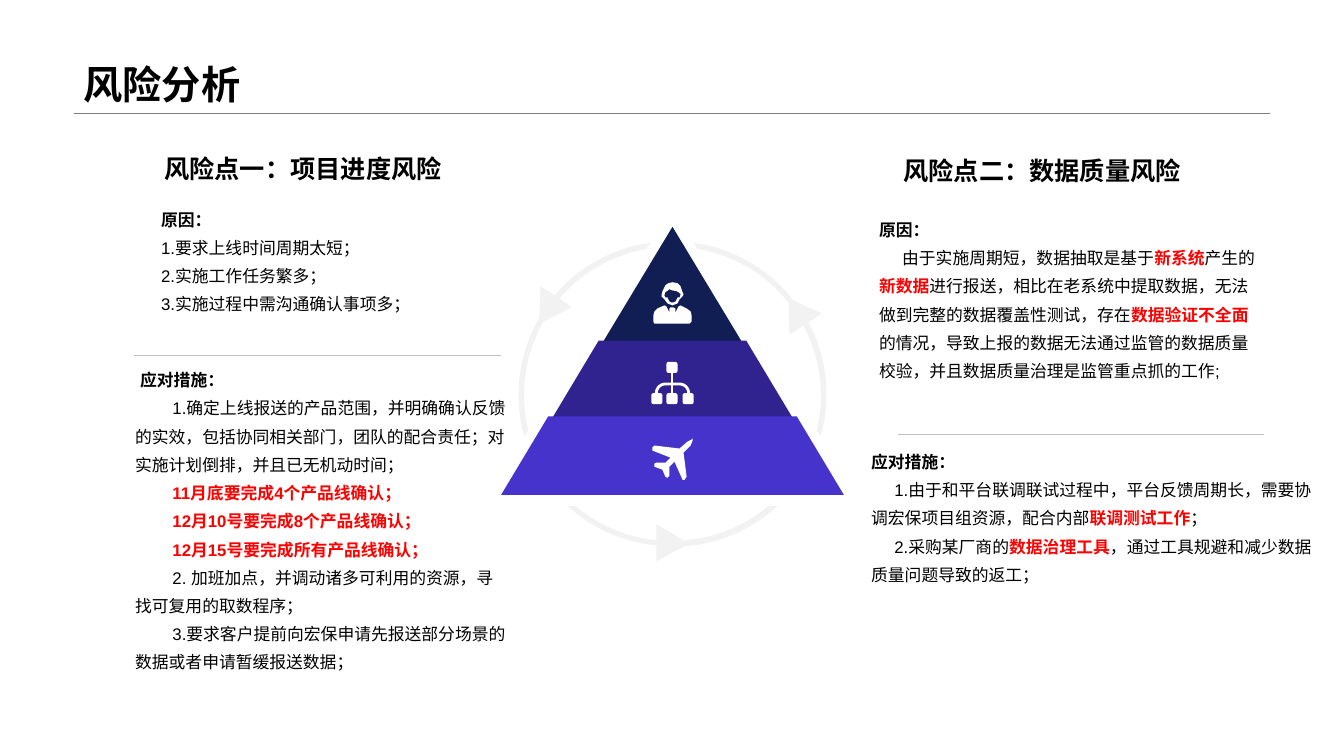
from dataclasses import dataclass
from enum import Enum
from math import atan2, cos, hypot, pi, sin
from typing import NamedTuple, Optional, Union

from lxml.etree import SubElement
from pptx import Presentation
from pptx.dml.color import RGBColor
from pptx.enum.shapes import MSO_CONNECTOR, MSO_SHAPE as SHAPE
from pptx.enum.text import MSO_ANCHOR as ANCHOR, MSO_AUTO_SIZE, PP_ALIGN as ALIGN
from pptx.oxml.ns import qn
from pptx.util import Pt

PX = 9144  # EMU per px, 100 px to the inch


@dataclass(frozen=True)
class Theme:
    font: str = "Arial"
    text: str = "000000"
    alert: str = "FF0000"
    rule: str = "808080"
    divider: str = "BFBFBF"
    ring: str = "F2F2F2"
    icon: str = "FFFFFF"
    top: str = "111E54"
    middle: str = "30238F"
    base: str = "4533CC"
    title_size: int = 28
    heading_size: int = 18
    body_size: int = 12
    hairline: float = 0.25
    icon_line: float = 2


THEME = Theme()


class Look(Enum):
    PLAIN = 0
    BOLD = 1
    ALERT = 2


class Run(NamedTuple):
    text: str
    look: Look = Look.PLAIN


class Para(NamedTuple):
    runs: tuple[Run, ...]
    indent: int = 0


class Box(NamedTuple):
    x: int
    y: int
    w: int
    h: int


class Block(NamedTuple):
    box: Box
    paras: tuple[Para, ...]
    holder: Optional[int] = None
    size: int = THEME.body_size
    spacing: float = 1.4
    align: ALIGN = ALIGN.LEFT
    anchor: ANCHOR = ANCHOR.TOP


class Point(NamedTuple):
    x: float
    y: float


class Arc(NamedTuple):
    start: tuple[int, int]
    end: tuple[int, int]
    center: tuple[int, int] = (667, 391)


class Layer(NamedTuple):
    kind: SHAPE
    box: Box
    color: str
    slant: Optional[float] = None


class Rule(NamedTuple):
    x1: int
    x2: int
    y: int
    color: str


Outline = list[Union[Arc, tuple[int, int]]]


def line(text: str, indent: int = 0, look: Look = Look.PLAIN) -> Para:
    return Para((Run(text, look),), indent)


def heading(box: Box, text: str, holder: int, align: ALIGN) -> Block:
    return Block(box, (line(text, 0, Look.BOLD),), holder, THEME.heading_size, 1, align, ANCHOR.BOTTOM)


BLOCKS = [
    Block(Box(73, 0, 1187, 112), (line("风险分析", 0, Look.BOLD),), 0, THEME.title_size, 0.9,
          anchor=ANCHOR.BOTTOM),
    heading(Box(74, 147, 374, 40), "风险点一：项目进度风险", 1, ALIGN.RIGHT),
    Block(Box(145, 195, 374, 154), (
        line("原因：", 5, Look.BOLD),
        line("1.要求上线时间周期太短；", 5),
        line("2.实施工作任务繁多；", 5),
        line("3.实施过程中需沟通确认事项多；", 5))),
    Block(Box(124, 354, 388, 334), (
        line("应对措施：", 5, Look.BOLD),
        line("1.确定上线报送的产品范围，并明确确认反馈的实效，包括协同相关部门，团队的配合责任；"
             "对实施计划倒排，并且已无机动时间；", 37),
        line("11月底要完成4个产品线确认；", 37, Look.ALERT),
        line("12月10号要完成8个产品线确认；", 37, Look.ALERT),
        line("12月15号要完成所有产品线确认；", 37, Look.ALERT),
        line("2. 加班加点，并调动诸多可利用的资源，寻找可复用的取数程序；", 37),
        line("3.要求客户提前向宏保申请先报送部分场景的数据或者申请暂缓报送数据；", 37)), 2),
    heading(Box(886, 149, 374, 40), "风险点二：数据质量风险", 3, ALIGN.LEFT),
    Block(Box(862, 205, 397, 249), (
        line("原因：", 0, Look.BOLD),
        Para((Run("由于实施周期短，数据抽取是基于"), Run("新系统", Look.ALERT), Run("产生的"),
              Run("新数据", Look.ALERT),
              Run("进行报送，相比在老系统中提取数据，无法做到完整的数据覆盖性测试，存在"),
              Run("数据验证不全面", Look.ALERT),
              Run("的情况，导致上报的数据无法通过监管的数据质量校验，并且数据质量治理是监管重点抓的工作;")),
             23))),
    Block(Box(854, 435, 457, 315), (
        line("应对措施：", 0, Look.BOLD),
        Para((Run("1.由于和平台联调联试过程中，平台反馈周期长，需要协调宏保项目组资源，配合内部"),
              Run("联调测试工作", Look.ALERT), Run("；")), 23),
        Para((Run("2.采购某厂商的"), Run("数据治理工具", Look.ALERT),
              Run("，通过工具规避和减少数据质量问题导致的返工；")), 23)), 4),
]
RULES = [Rule(73, 1260, 112, THEME.rule), Rule(133, 497, 352, THEME.divider),
         Rule(891, 1254, 431, THEME.divider)]
PYRAMID = [
    Layer(SHAPE.ISOSCELES_TRIANGLE, Box(594, 225, 146, 121), THEME.top),
    Layer(SHAPE.TRAPEZOID, Box(544, 338, 246, 83), THEME.middle, 0.6),
    Layer(SHAPE.TRAPEZOID, Box(497, 413, 340, 78), THEME.base, 0.6),
]
RING_ARROWS: list[Outline] = [
    [Arc((678, 542), (771, 502)), Arc((762, 502), (678, 536)), (651, 520),
     Arc((651, 536), (571, 502)), Arc((563, 502), (651, 541)), (651, 557)],
    [Arc((645, 241), (550, 293)), (536, 284), Arc((535, 315), (520, 433)),
     Arc((524, 427), (539, 319)), (567, 305), Arc((555, 296), (641, 247))],
    [Arc((814, 433), (802, 320)), (815, 311), Arc((787, 298), (688, 241)),
     Arc((692, 247), (782, 300)), (783, 332), Arc((797, 323), (810, 427))],
]
PLANE: Outline = [
    (686, 436), (682, 438), (674, 445), (649, 442), (647, 444), (647, 447), (665, 454), (660, 459),
    (651, 459), (649, 460), (649, 463), (657, 466), (660, 473), (662, 474), (664, 472), (664, 463),
    (669, 458), (677, 476), (679, 476), (681, 473), (678, 449), (685, 442), (687, 437), (687, 435)]
PERSON_BODY: Outline = [
    (686, 313), (686, 319), (684, 321), (649, 321), (648, 319), (648, 313), (649, 309), (652, 306),
    (659, 303), (661, 304), (664, 310), (664, 306), (665, 305), (668, 305), (670, 306), (670, 310),
    (673, 304), (675, 303), (681, 306), (685, 309)]
PERSON_HEAD: Outline = [
    (677, 294), (674, 297), (672, 301), (667, 303), (662, 301), (659, 297), (656, 294), (657, 289),
    (660, 283), (663, 281), (667, 280), (672, 281), (675, 284), (676, 287), (677, 290), (678, 292)]
PERSON_FACE: Outline = [
    (673, 290), (671, 289), (666, 288), (664, 287), (663, 288), (660, 290), (659, 293), (660, 295),
    (662, 295), (664, 299), (666, 300), (668, 300), (670, 299), (672, 295), (674, 295), (675, 292)]
ORG_BRACKET: Outline = [Arc((651, 390), (660, 381), (660, 390)), Arc((674, 381), (683, 390), (674, 390))]
ORG_BOXES = [Box(x, y, 11, 11) for x, y in ((661, 359), (646, 390), (661, 390), (677, 390))]


def color(value: str) -> RGBColor:
    return RGBColor.from_string(value)


def emu(box: Box) -> list[int]:
    return [v * PX for v in box]


def flatten(arc: Arc, steps: int = 24) -> list[Point]:
    """Points along the shorter way round the arc's centre."""
    cx, cy = arc.center
    (a, ra), (b, rb) = ((atan2(y - cy, x - cx), hypot(x - cx, y - cy)) for x, y in (arc.start, arc.end))
    sweep = (b - a + pi) % (2 * pi) - pi
    turns = [(a + sweep * i / steps, ra + (rb - ra) * i / steps) for i in range(steps + 1)]
    return [Point(cx + r * cos(t), cy + r * sin(t)) for t, r in turns]


def paint(sp, fill: str) -> None:
    sp.shadow.inherit = False
    sp.fill.solid()
    sp.fill.fore_color.rgb = color(fill)
    sp.line.fill.background()


def draw_outline(slide, outline: Outline, fill: Optional[str]) -> None:
    """A filled outline, or an open icon stroke when there is no fill."""
    points = [p for part in outline for p in (flatten(part) if isinstance(part, Arc) else [Point(*part)])]
    points = [(p.x * PX, p.y * PX) for p in points]
    builder = slide.shapes.build_freeform(*points[0], scale=1.0)
    builder.add_line_segments(points[1:], close=fill is not None)
    sp = builder.convert_to_shape()
    paint(sp, fill or THEME.icon)
    if fill is None:
        sp.fill.background()
        sp.line.color.rgb = color(THEME.icon)
        sp.line.width = Pt(THEME.icon_line)


def draw_line(slide, start: Point, end: Point, stroke: str, width: float):
    cxn = slide.shapes.add_connector(MSO_CONNECTOR.STRAIGHT, *(int(v * PX) for v in (*start, *end)))
    cxn.line.color.rgb = color(stroke)
    cxn.line.width = Pt(width)
    SubElement(cxn._element.spPr, qn("a:effectLst"))
    return cxn


def draw_layer(slide, layer: Layer):
    sp = slide.shapes.add_shape(layer.kind, *emu(layer.box))
    paint(sp, layer.color)
    if layer.slant is not None:
        sp.adjustments[0] = layer.slant
    return sp


def draw_org_chart(slide) -> None:
    nodes = [draw_layer(slide, Layer(SHAPE.ROUNDED_RECTANGLE, b, THEME.icon, 0.2)) for b in ORG_BOXES]
    stem = draw_line(slide, Point(666.5, 370), Point(666.5, 390), THEME.icon, THEME.icon_line)
    stem.begin_connect(nodes[0], 2)
    stem.end_connect(nodes[2], 0)
    draw_outline(slide, ORG_BRACKET, None)


def draw_block(slide, block: Block) -> None:
    if block.holder is None:
        sp = slide.shapes.add_textbox(*emu(block.box))
    else:
        sp = slide.placeholders[block.holder]
        sp.left, sp.top, sp.width, sp.height = emu(block.box)
    tf = sp.text_frame
    tf.word_wrap, tf.auto_size, tf.vertical_anchor = True, MSO_AUTO_SIZE.NONE, block.anchor
    for i, para in enumerate(block.paras):
        p = tf.add_paragraph() if i else tf.paragraphs[0]
        p.alignment, p.line_spacing, p.space_before = block.align, block.spacing, Pt(0)
        pPr = p._p.get_or_add_pPr()
        pPr.set("marL", "0")
        pPr.set("indent", str(para.indent * PX))
        SubElement(pPr, qn("a:buNone"))
        for run in para.runs:
            r = p.add_run()
            r.text = run.text
            r.font.name, r.font.size = THEME.font, Pt(block.size)
            r.font.bold = run.look is not Look.PLAIN
            r.font.color.rgb = color(THEME.alert if run.look is Look.ALERT else THEME.text)


def main() -> None:
    prs = Presentation()
    prs.slide_width, prs.slide_height = 1333 * PX, 750 * PX
    slide = prs.slides.add_slide(prs.slide_layouts.get_by_name("Comparison"))
    for rule in RULES:
        draw_line(slide, Point(rule.x1, rule.y), Point(rule.x2, rule.y), rule.color, THEME.hairline)
    for layer in PYRAMID:
        draw_layer(slide, layer)
    for arrow in RING_ARROWS:
        draw_outline(slide, arrow, THEME.ring)
    for outline, fill in ((PERSON_BODY, THEME.icon), (PERSON_HEAD, THEME.icon),
                          (PERSON_FACE, THEME.top), (PLANE, THEME.icon)):
        draw_outline(slide, outline, fill)
    draw_org_chart(slide)
    for block in BLOCKS:
        draw_block(slide, block)
    prs.save("out.pptx")


if __name__ == "__main__":
    main()
